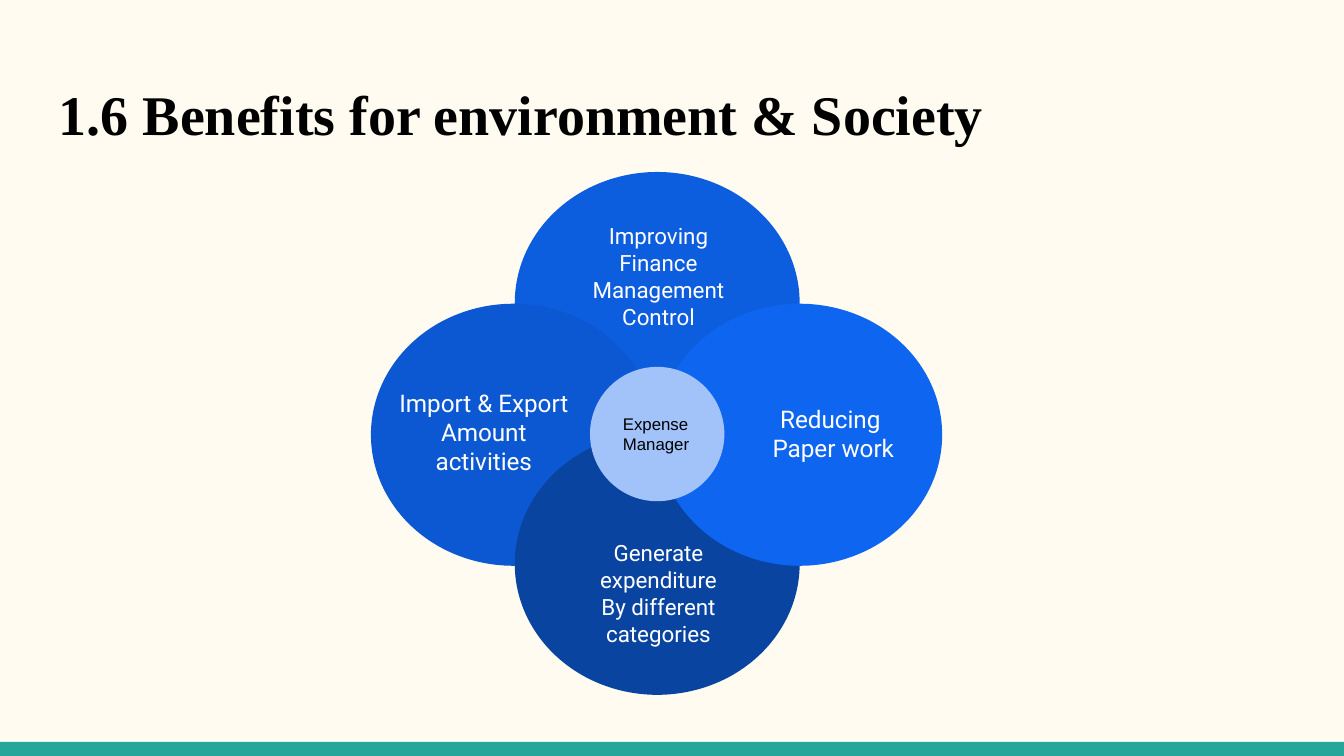
from dataclasses import dataclass

from pptx import Presentation
from pptx.dml.color import RGBColor
from pptx.enum.shapes import MSO_SHAPE as Shape
from pptx.enum.text import MSO_ANCHOR as Anchor, PP_ALIGN as Align
from pptx.util import Inches, Pt


@dataclass(frozen=True)
class Theme:
    background: str = "FFFBF0"
    bar: str = "26A69A"
    top: str = "0D5DDF"
    left: str = "0C58D3"
    bottom: str = "0944A1"
    right: str = "0E65F0"
    center: str = "A1C3FA"
    dark: str = "000000"
    light: str = "FFFFFF"
    title_font: str = "Times New Roman"
    petal_font: str = "Roboto"
    center_font: str = "Arial"
    title_size: int = 30
    side_size: int = 13
    petal_size: int = 12
    center_size: int = 9


THEME = Theme()
WIDTH = 10
HEIGHT = WIDTH * 9 / 16
PETAL_SIZE = (2.12, 1.95)
LABEL_SIZE = (1.46, 0.63)


def write_text(shape, lines, *, font, size, color, bold=False,
               align=Align.LEFT, anchor=Anchor.MIDDLE):
    frame = shape.text_frame
    frame.word_wrap = True
    frame.vertical_anchor = anchor
    frame.margin_left = frame.margin_right = Inches(0.1)
    frame.margin_top = frame.margin_bottom = Inches(0.1)
    for index, line in enumerate(lines):
        paragraph = frame.paragraphs[0] if index == 0 else frame.add_paragraph()
        paragraph.alignment = align
        run = paragraph.add_run()
        run.text = line
        run.font.name = font
        run.font.size = Pt(size)
        run.font.bold = bold
        run.font.color.rgb = RGBColor.from_string(color)


def add_filled(shapes, preset, left, top, width, height, color):
    shape = shapes.add_shape(preset, Inches(left), Inches(top),
                             Inches(width), Inches(height))
    shape.shadow.inherit = False
    shape.fill.solid()
    shape.fill.fore_color.rgb = RGBColor.from_string(color)
    shape.line.fill.background()
    return shape


def add_text(shapes, left, top, width, height, lines, **style):
    box = shapes.add_textbox(Inches(left), Inches(top),
                             Inches(width), Inches(height))
    write_text(box, lines, **style)


def add_petal(slide, position, label_position, color, size, lines):
    group = slide.shapes.add_group_shape()
    add_filled(group.shapes, Shape.OVAL, *position, *PETAL_SIZE, color)
    add_text(group.shapes, *label_position, *LABEL_SIZE, lines,
             font=THEME.petal_font, size=size, color=THEME.light,
             align=Align.CENTER)


def main():
    presentation = Presentation()
    presentation.slide_width = Inches(WIDTH)
    presentation.slide_height = Inches(HEIGHT)
    slide = presentation.slides.add_slide(presentation.slide_layouts[6])
    slide.background.fill.solid()
    slide.background.fill.fore_color.rgb = RGBColor.from_string(THEME.background)

    add_filled(slide.shapes, Shape.RECTANGLE, 0, 5.52, WIDTH, 0.11, THEME.bar)
    add_text(slide.shapes, 0.34, 0.49, 9.32, 0.67,
             ["1.6 Benefits for environment & Society"],
             font=THEME.title_font, size=THEME.title_size, color=THEME.dark,
             bold=True, anchor=Anchor.TOP)

    petals = [
        ((3.83, 1.28), (4.17, 1.74), THEME.top, THEME.petal_size,
         ["Improving Finance", "Management Control"]),
        ((2.76, 2.26), (2.87, 2.9), THEME.left, THEME.side_size,
         ["Import & Export ", "Amount activities"]),
        ((3.83, 3.22), (4.17, 4.1), THEME.bottom, THEME.petal_size,
         ["Generate expenditure", "By different categories"]),
        ((4.89, 2.26), (5.47, 2.91), THEME.right, THEME.side_size,
         ["Reducing ", "Paper work"]),
    ]
    for petal in petals:
        add_petal(slide, *petal)

    center = add_filled(slide.shapes, Shape.OVAL, 4.39, 2.73, 1, 1, THEME.center)
    write_text(center, ["Expense", "Manager"], font=THEME.center_font,
               size=THEME.center_size, color=THEME.dark)
    presentation.save("out.pptx")


if __name__ == "__main__":
    main()
